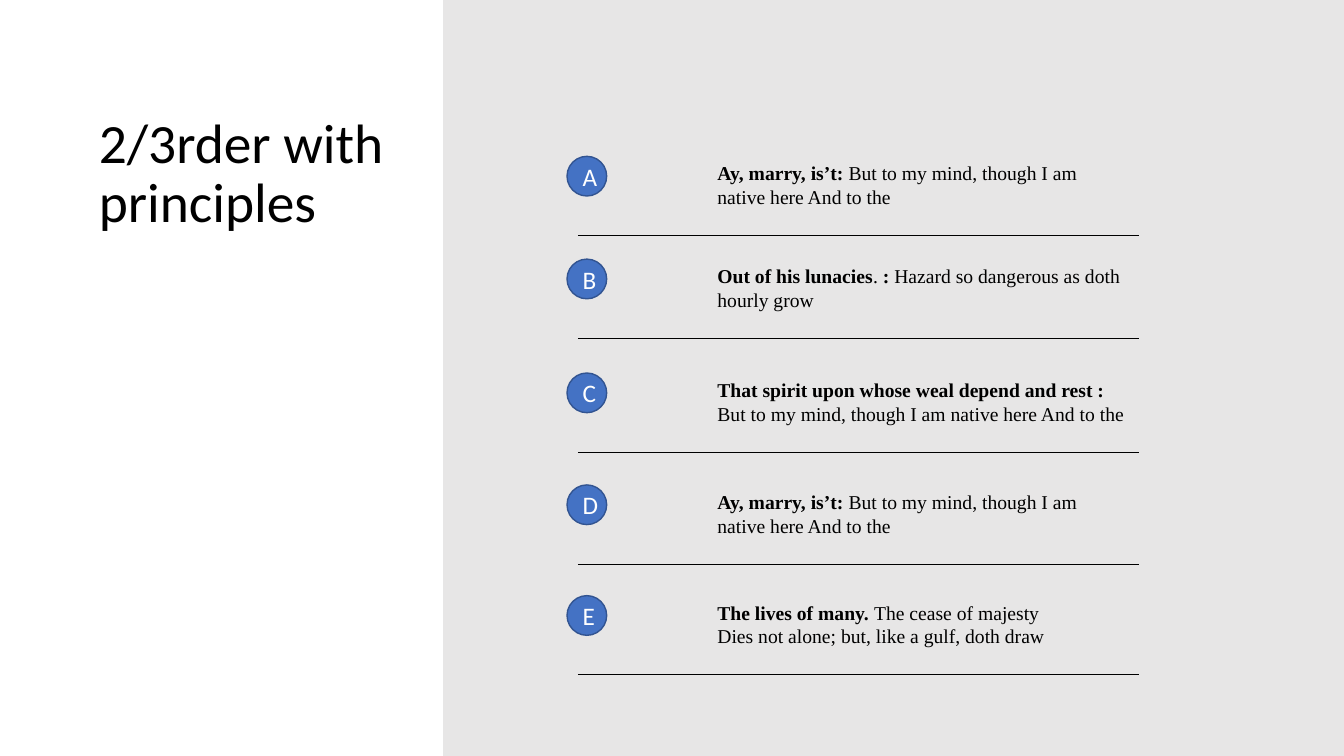
import pptx
import pptx.dml.color
import pptx.enum.shapes
import pptx.enum.text
import pptx.oxml.ns
import pptx.util
from dataclasses import dataclass
from lxml import etree

Cm = pptx.util.Cm
Pt = pptx.util.Pt
SHAPE = pptx.enum.shapes.MSO_SHAPE
ANCHOR = pptx.enum.text.MSO_ANCHOR
ALIGN = pptx.enum.text.PP_ALIGN


@dataclass(frozen=True)
class Theme:
    ink: str = "000000"
    panel: str = "E7E6E6"
    badge: str = "4472C4"
    badge_edge: str = "325491"
    badge_text: str = "FFFFFF"
    heading_font: str = "Calibri"
    body_font: str = "Times New Roman"
    title_size: float = 39.6
    badge_size: float = 18
    body_size: float = 14
    edge_width: float = 1
    rule_width: float = 0.5


class Deck:
    def __init__(self, theme):
        self.theme = theme
        self.prs = pptx.Presentation()
        self.prs.slide_width = Cm(33.87)
        self.prs.slide_height = Cm(19.05)
        self.s = self.prs.slides.add_slide(self.prs.slide_layouts[6])

    def color(self, value):
        return pptx.dml.color.RGBColor.from_string(value)

    def run(self, p, text, font, size, color, bold=False):
        r = p.add_run()
        r.text = text
        r.font.name = font
        r.font.size = Pt(size)
        r.font.bold = bold
        r.font.color.rgb = self.color(color)

    def shape(self, kind, left, top, width, height, fill, edge=None):
        sp = self.s.shapes.add_shape(kind, Cm(left), Cm(top), Cm(width), Cm(height))
        sp.shadow.inherit = False
        sp.fill.solid()
        sp.fill.fore_color.rgb = self.color(fill)
        if edge:
            sp.line.color.rgb = self.color(edge)
            sp.line.width = Pt(self.theme.edge_width)
        else:
            sp.line.fill.background()
        return sp

    def panel(self, left, top, width, height):
        self.shape(SHAPE.RECTANGLE, left, top, width, height, self.theme.panel)

    def badge(self, letter, left, top, size):
        t = self.theme
        sp = self.shape(SHAPE.OVAL, left, top, size, size, t.badge, t.badge_edge)
        tf = sp.text_frame
        tf.word_wrap = True
        tf.vertical_anchor = ANCHOR.MIDDLE
        p = tf.paragraphs[0]
        p.alignment = ALIGN.CENTER
        self.run(p, letter, t.heading_font, t.badge_size, t.badge_text)

    def rule(self, left, right, y):
        line = self.s.shapes.add_connector(
            pptx.enum.shapes.MSO_CONNECTOR.STRAIGHT, Cm(left), Cm(y), Cm(right), Cm(y))
        line.line.color.rgb = self.color(self.theme.ink)
        line.line.width = Pt(self.theme.rule_width)
        etree.SubElement(line._element.spPr, pptx.oxml.ns.qn("a:effectLst"))

    def text_frame(self, left, top, width, height):
        sp = self.s.shapes.add_textbox(Cm(left), Cm(top), Cm(width), Cm(height))
        tf = sp.text_frame
        tf.word_wrap = True
        return tf

    def title(self, text, left, top, width, height):
        t = self.theme
        tf = self.text_frame(left, top, width, height)
        tf.vertical_anchor = ANCHOR.MIDDLE
        p = tf.paragraphs[0]
        p.line_spacing = 0.9
        self.run(p, text, t.heading_font, t.title_size, t.ink)

    def body(self, runs, left, top, width, height):
        t = self.theme
        tf = self.text_frame(left, top, width, height)
        tf.auto_size = pptx.enum.text.MSO_AUTO_SIZE.SHAPE_TO_FIT_TEXT
        p = tf.paragraphs[0]
        for text, bold in runs:
            for i, part in enumerate(text.split("\n")):
                if i:
                    p.add_line_break()
                self.run(p, part, t.body_font, t.body_size, t.ink, bold)


PRINCIPLES = [
    (3.94, [("Ay, marry, is’t:", True),
            (" But to my mind, though I am native here And to the", False)]),
    (6.53, [("Out of his lunacies", True), (". ", False), (":", True),
            (" Hazard so dangerous as doth hourly grow", False)]),
    (9.4, [("That spirit upon whose weal depend and rest :", True),
           (" But to my mind, though I am native here And to the", False)]),
    (12.22, [("Ay, marry, is’t: ", True),
             ("But to my mind, though I am native here And to the", False)]),
    (15.01, [("The lives of many. ", True),
             ("The cease of majesty\nDies not alone; but, like a gulf, doth draw", False)]),
]


def main():
    deck = Deck(Theme())
    deck.title("2/3rder with principles", 2.24, 2.57, 8.05, 3.68)
    deck.panel(11.17, 0, 22.7, 19.05)
    for letter, (top, runs) in zip("ABCDE", PRINCIPLES):
        deck.badge(letter, 14.29, top, 1)
        deck.body(runs, 17.83, top, 10.87, 1.45)
        deck.rule(14.56, 28.7, top + 1.99)
    deck.prs.save("out.pptx")


if __name__ == "__main__":
    main()
